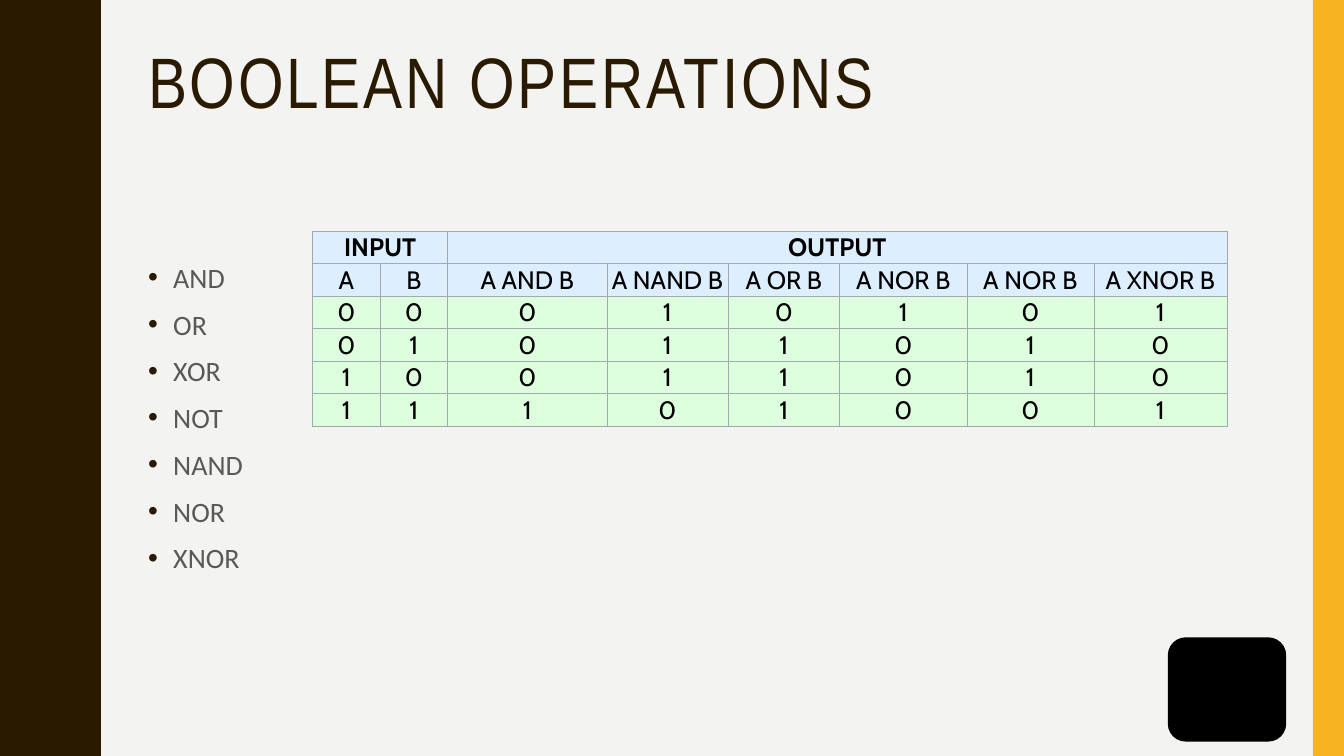
import pptx
import pptx.util
import pptx.dml.color
import pptx.enum.shapes
import pptx.enum.text
import pptx.oxml
import pptx.oxml.ns
import lxml.etree

Inches, Pt = pptx.util.Inches, pptx.util.Pt
ALIGN = pptx.enum.text.PP_ALIGN
ANCHOR = pptx.enum.text.MSO_ANCHOR
SHAPES = pptx.enum.shapes.MSO_SHAPE

TITLE = "BOOLEAN OPERATIONS"
OPERATIONS = ["AND", "OR", "XOR", "NOT", "NAND", "NOR", "XNOR"]
GROUPS = [("INPUT", 0, 1), ("OUTPUT", 2, 7)]  # text, first column, last column
TRUTH_TABLE = [
    ["A", "B", "A AND B", "A NAND B", "A OR B", "A NOR B", "A NOR B", "A XNOR B"],
    ["0", "0", "0", "1", "0", "1", "0", "1"],
    ["0", "1", "0", "1", "1", "0", "1", "0"],
    ["1", "0", "0", "1", "1", "0", "1", "0"],
    ["1", "1", "1", "0", "1", "0", "0", "1"],
]
COLUMN_WIDTHS = [0.67, 0.67, 1.58, 1.2, 1.11, 1.26, 1.26, 1.32]
TABLE_HEIGHT = 1.94
HEADER_ROWS = 2

COLORS = {
    "background": "F3F3F2", "brown": "2A1A00", "gold": "F8B323", "black": "000000",
    "body": "595959", "header": "DDEEFF", "values": "DDFFDD", "border": "A2A9B1",
}

# Left edge band: one outward swing of the wave, mirrored for the way back
SWING = [(0.78, 0), (0.78, 0.07), (0.79, 0.14), (0.8, 0.2), (0.81, 0.25),
         (0.83, 0.29), (0.85, 0.33), (0.87, 0.38), (0.89, 0.42), (0.91, 0.46),
         (0.93, 0.5), (0.95, 0.55), (0.96, 0.61), (0.97, 0.68), (0.97, 0.75)]
WAVE_PERIOD = 1.5
WAVE_COUNT = 5


def rgb(name):
    return pptx.dml.color.RGBColor.from_string(COLORS[name])


def paint(shape, color):
    shape.shadow.inherit = False
    shape.fill.solid()
    shape.fill.fore_color.rgb = rgb(color)
    shape.line.fill.background()


def format_runs(paragraph, font_name, size, color, bold=False):
    for run in paragraph.runs:
        run.font.name = font_name
        run.font.size = Pt(size)
        run.font.bold = bold
        run.font.color.rgb = rgb(color)


def add_wave(slide):
    back = [(x, WAVE_PERIOD - y) for x, y in reversed(SWING[:-1])]
    edge = [(x, y + WAVE_PERIOD * wave)
            for wave in range(WAVE_COUNT) for x, y in SWING + back]
    builder = slide.shapes.build_freeform(0, 0, scale=Inches(1))
    builder.add_line_segments(edge + [(0, WAVE_PERIOD * WAVE_COUNT)], close=True)
    paint(builder.convert_to_shape(), "brown")


def add_block(slide, shape_type, left, top, width, height, color):
    shape = slide.shapes.add_shape(
        shape_type, Inches(left), Inches(top), Inches(width), Inches(height))
    paint(shape, color)
    return shape


def add_text_frame(slide, left, top, width, height):
    box = slide.shapes.add_textbox(
        Inches(left), Inches(top), Inches(width), Inches(height))
    box.text_frame.word_wrap = True
    return box.text_frame


def add_bullet(paragraph):
    properties = paragraph._p.get_or_add_pPr()
    properties.set("marL", str(Inches(0.25)))
    properties.set("indent", str(-Inches(0.25)))
    namespace = pptx.oxml.ns.nsdecls("a")
    for xml in (
        f'<a:buClr {namespace}><a:srgbClr val="{COLORS["brown"]}"/></a:buClr>',
        f'<a:buFont {namespace} typeface="Arial"/>',
        f'<a:buChar {namespace} char="•"/>',
    ):
        properties.append(pptx.oxml.parse_xml(xml))


def add_borders(cell):
    properties = cell._tc.get_or_add_tcPr()
    for side in ("lnL", "lnR", "lnT", "lnB"):
        line = lxml.etree.SubElement(
            properties, pptx.oxml.ns.qn("a:" + side), w=str(Pt(0.5)))
        fill = lxml.etree.SubElement(line, pptx.oxml.ns.qn("a:solidFill"))
        lxml.etree.SubElement(
            fill, pptx.oxml.ns.qn("a:srgbClr"), val=COLORS["border"])


def add_truth_table(slide):
    row_count = len(TRUTH_TABLE) + 1
    frame = slide.shapes.add_table(
        row_count, len(COLUMN_WIDTHS), Inches(3.1), Inches(2.29),
        Inches(sum(COLUMN_WIDTHS)), Inches(TABLE_HEIGHT))
    table = frame.table
    table.first_row = table.horz_banding = False
    for column, width in zip(table.columns, COLUMN_WIDTHS):
        column.width = Inches(width)
    for row in table.rows:
        row.height = Inches(TABLE_HEIGHT / row_count)

    for text, first, last in GROUPS:
        table.cell(0, first).merge(table.cell(0, last))
        table.cell(0, first).text_frame.text = text
    for row_index, values in enumerate(TRUTH_TABLE, start=1):
        for column_index, value in enumerate(values):
            table.cell(row_index, column_index).text_frame.text = value

    for row_index, row in enumerate(table.rows):
        for cell in row.cells:
            cell.margin_left = cell.margin_right = cell.margin_top = Inches(0.01)
            cell.margin_bottom = 0
            cell.vertical_anchor = ANCHOR.MIDDLE
            add_borders(cell)
            cell.fill.solid()
            cell.fill.fore_color.rgb = rgb(
                "header" if row_index < HEADER_ROWS else "values")
            paragraph = cell.text_frame.paragraphs[0]
            paragraph.alignment = ALIGN.CENTER
            format_runs(paragraph, "Cabin", 18, "black", bold=row_index == 0)


def main():
    presentation = pptx.Presentation()
    presentation.slide_width = Inches(13.33)
    presentation.slide_height = Inches(7.5)
    slide = presentation.slides.add_slide(presentation.slide_layouts[6])
    slide.background.fill.solid()
    slide.background.fill.fore_color.rgb = rgb("background")

    add_wave(slide)
    add_block(slide, SHAPES.RECTANGLE, 13.02, 0, 0.31, 7.5, "gold")
    badge = add_block(slide, SHAPES.ROUNDED_RECTANGLE, 11.59, 6.33, 1.16, 1.02, "black")
    badge.line.color.rgb = rgb("black")
    badge.line.width = Pt(1)

    title = add_text_frame(slide, 1.37, 0.42, 11.13, 1.63)
    title.text = TITLE
    heading = title.paragraphs[0]
    heading.line_spacing = 0.9
    format_runs(heading, "Arial Narrow", 51, "brown")
    heading.runs[0].font._element.set("spc", "200")

    body = add_text_frame(slide, 1.37, 2.5, 11.13, 3.93)
    body.text = "\n".join(OPERATIONS)
    for paragraph in body.paragraphs:
        paragraph.line_spacing = 1.1
        paragraph.space_before = Pt(7)
        add_bullet(paragraph)
        format_runs(paragraph, "Calibri", 20, "body")

    add_truth_table(slide)
    presentation.save("out.pptx")


if __name__ == "__main__":
    main()
